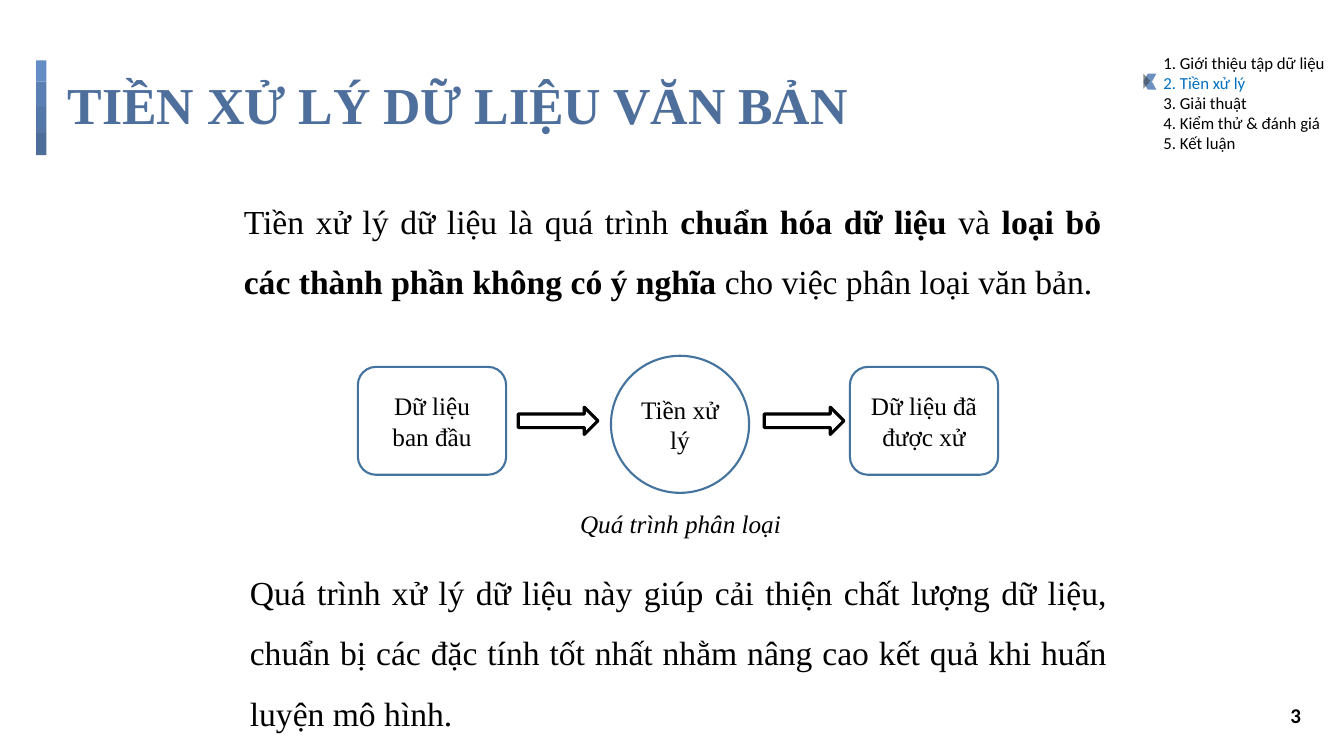
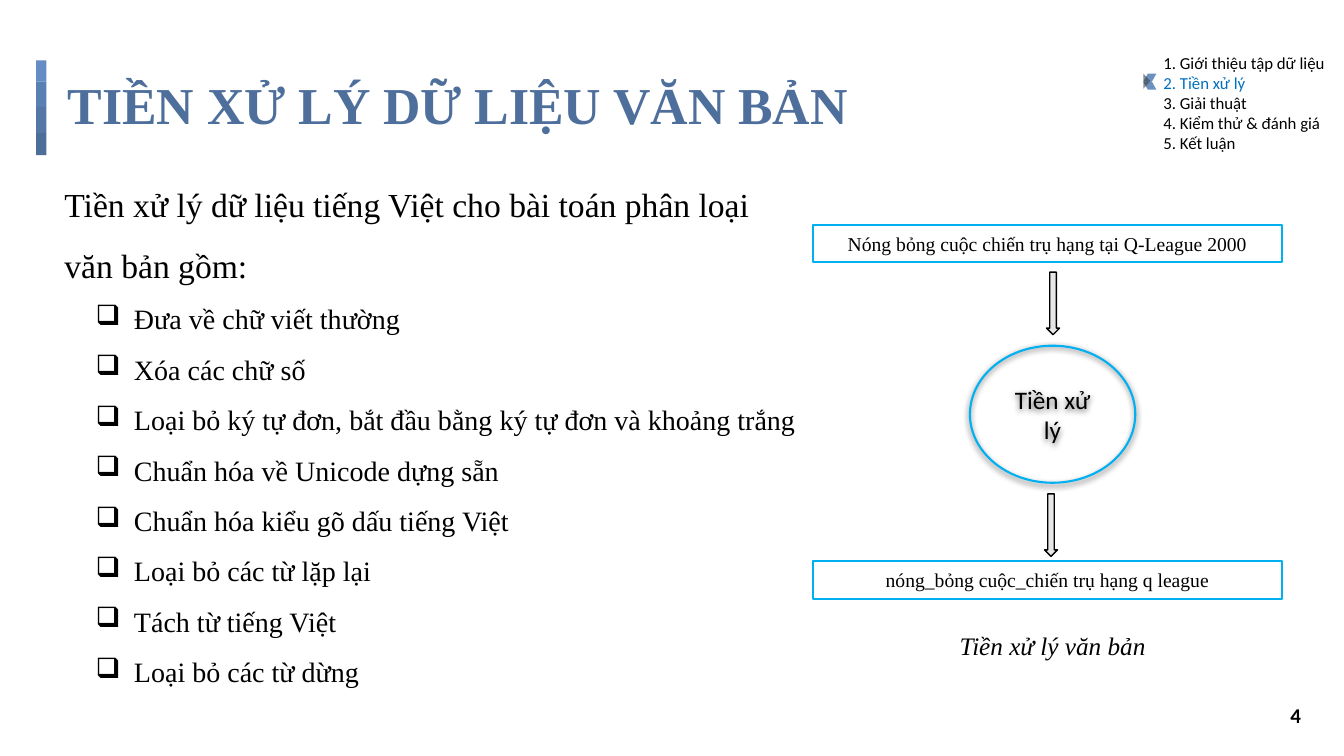
import pptx
import pptx.util
import pptx.dml.color
import pptx.enum.shapes
import pptx.enum.text
import pptx.oxml.ns
from lxml import etree

Inches = pptx.util.Inches
Pt = pptx.util.Pt
KIND = pptx.enum.shapes.MSO_SHAPE
ALIGN = pptx.enum.text.PP_ALIGN
ANCHOR = pptx.enum.text.MSO_ANCHOR
FIT = pptx.enum.text.MSO_AUTO_SIZE
qn = pptx.oxml.ns.qn


class Theme:
    """Colours, fonts and type sizes of the deck."""
    serif, sans = "Times New Roman", "Calibri"
    ink, white, title = "000000", "FFFFFF", "4E6F9B"
    bands = ["648DC6", "5A7FB3", "5477A7", "4E6E9A"]
    active, mark, tip = "0070C0", "5E85B9", "38444A"
    steel, sky, grey = "43739E", "00B0F0", "E7E6E6"
    head, body, item, label, page, note, nav = 37, 24, 20, 18, 15, 14, 12


# Content: asterisks switch bold on and off
TITLE = "TIỀN XỬ LÝ DỮ LIỆU VĂN BẢN"
TOPICS = ["1. Giới thiệu tập dữ liệu", "2. Tiền xử lý", "3. Giải thuật",
          "4. Kiểm thử & đánh giá", "5. Kết luận"]
CURRENT = 1
STEP = "Tiền xử lý"

INTRO = ("Tiền xử lý dữ liệu là quá trình *chuẩn hóa dữ liệu *và *loại bỏ các "
         "thành phần không có ý nghĩa *cho việc phân loại văn bản.")
RESULT = ("Quá trình xử lý dữ liệu này giúp cải thiện chất lượng dữ liệu, "
          "chuẩn bị các đặc tính tốt nhất nhằm nâng cao kết quả khi huấn "
          "luyện mô hình.")
FLOW_ENDS = [(3.55, "Dữ liệu ban đầu"), (8.43, "Dữ liệu đã được xử")]
FLOW_ARROWS = [5.14, 7.58]
FLOW_NOTE = "Quá trình phân loại"

LIST_HEAD = "Tiền xử lý dữ liệu tiếng Việt cho bài toán phân loại văn bản gồm:"
TASKS = ["Đưa về chữ viết thường",
         "Xóa các chữ số",
         "Loại bỏ ký tự đơn, bắt đầu bằng ký tự đơn và khoảng trắng",
         "Chuẩn hóa về Unicode dựng sẵn",
         "Chuẩn hóa kiểu gõ dấu tiếng Việt",
         "Loại bỏ các từ lặp lại",
         "Tách từ tiếng Việt",
         "Loại bỏ các từ dừng"]
SAMPLES = [(2.23, "Nóng bỏng cuộc chiến trụ hạng tại Q-League 2000"),
           (5.57, "nóng_bỏng cuộc_chiến trụ hạng q league")]
SAMPLE_ARROWS = [(10.38, 2.7), (10.36, 4.9)]
SAMPLE_NOTE = "Tiền xử lý văn bản"


def paint(text):
    """Turn a hex string into a colour."""
    return pptx.dml.color.RGBColor.from_string(text)


def indent(para, left, hang, mark):
    """Give a paragraph a hanging bullet."""
    props = para._p.get_or_add_pPr()
    props.set("marL", str(Inches(left)))
    props.set("indent", str(Inches(-hang)))
    etree.SubElement(props, qn("a:buChar")).set("char", mark)


def write(frame, paras, **base):
    """Fill a frame; a paragraph is a text or a (text, format) pair."""
    frame.word_wrap = True
    for num, entry in enumerate(paras):
        text, extra = (entry, {}) if isinstance(entry, str) else entry
        fmt = {**base, **extra}
        para = frame.add_paragraph() if num else frame.paragraphs[0]
        para.alignment = fmt.get("align", ALIGN.LEFT)
        if "space" in fmt:
            para.line_spacing = fmt["space"]
        if fmt.get("bullet"):
            para.level = 1
            indent(para, 0.69, 0.38, fmt["bullet"])
        for part, words in enumerate(text.split("*")):
            run = para.add_run()
            run.text = words
            font = run.font
            font.name = fmt.get("font", Theme.serif)
            font.size = Pt(fmt["size"])
            font.bold = fmt.get("bold", False) or part % 2 == 1
            font.italic = fmt.get("italic", False)
            font.color.rgb = paint(fmt.get("color", Theme.ink))


def label(slide, box, paras, grow=True, inset=None, **fmt):
    """Add a text box."""
    frame = slide.shapes.add_textbox(*map(Inches, box)).text_frame
    if inset:
        frame.margin_left = frame.margin_right = Inches(inset)
        frame.margin_top = frame.margin_bottom = Inches(inset)
    write(frame, paras, **fmt)
    if grow:
        frame.auto_size = FIT.SHAPE_TO_FIT_TEXT
    else:
        frame.vertical_anchor = ANCHOR.MIDDLE


def draw(slide, kind, box, fill=None, line=None, width=1.5, alpha=None,
         text=None, **fmt):
    """Add a preset shape, with centred text if given."""
    shape = slide.shapes.add_shape(kind, *map(Inches, box))
    shape.shadow.inherit = False
    if fill:
        shape.fill.solid()
        shape.fill.fore_color.rgb = paint(fill)
    else:
        shape.fill.background()
    if alpha:
        color = shape.fill._xPr.find(".//" + qn("a:srgbClr"))
        etree.SubElement(color, qn("a:alpha")).set("val", str(alpha * 1000))
    if line:
        shape.line.color.rgb = paint(line)
        shape.line.width = Pt(width)
    else:
        shape.line.fill.background()
    if text:
        shape.text_frame.vertical_anchor = ANCHOR.MIDDLE
        write(shape.text_frame, [text], align=ALIGN.CENTER, **fmt)
    return shape


def shade(shape, blur, dist, angle, alpha):
    """Give a shape a soft black shadow."""
    effects = shape._element.spPr.find(qn("a:effectLst"))
    outer = etree.SubElement(effects, qn("a:outerShdw"))
    for name, value in (("blurRad", Pt(blur)), ("dist", Pt(dist)),
                        ("dir", angle * 60000)):
        outer.set(name, str(int(value)))
    color = etree.SubElement(outer, qn("a:srgbClr"))
    color.set("val", Theme.ink)
    etree.SubElement(color, qn("a:alpha")).set("val", str(alpha * 1000))


def start(deck, number):
    """Add a slide with band, title, topic list and page number."""
    slide = deck.slides.add_slide(deck.slide_layouts[6])
    top = 0.6
    for color, height in zip(Theme.bands, (0.21, 0.25, 0.26, 0.22)):
        draw(slide, KIND.RECTANGLE, (0.36, top, 0.1, height), color)
        top += height
    label(slide, (0.54, 0.65, 10.03, 0.84), [TITLE], grow=False, inset=0.13,
          size=Theme.head, color=Theme.title, bold=True, space=0.9)
    topics = [(text, {"color": Theme.active if num == CURRENT else Theme.ink})
              for num, text in enumerate(TOPICS)]
    label(slide, (11.44, 0.47, 1.89, 1.11), topics,
          size=Theme.nav, font=Theme.sans)
    for half in range(2):
        wing = draw(slide, KIND.PARALLELOGRAM,
                    (11.34, 0.73 + 0.08 * half, 0.13, 0.08),
                    Theme.mark, alpha=91)
        wing.adjustments[0] = 0.56
        if half:
            wing._element.spPr.find(qn("a:xfrm")).set("flipH", "1")
    tip = draw(slide, KIND.ISOSCELES_TRIANGLE, (11.3, 0.77, 0.15, 0.07),
               Theme.tip, alpha=60)
    tip.rotation = 90
    label(slide, (12.7, 6.92, 0.32, 0.35), [str(number)],
          size=Theme.page, font=Theme.sans, bold=True)
    return slide


def note(slide, left, top, text):
    """Add an italic caption under a diagram."""
    label(slide, (left, top, 4.2, 0.35), [text], grow=False,
          size=Theme.label, italic=True, align=ALIGN.CENTER)


def flow(deck):
    """Build the slide on the purpose of the step."""
    slide = start(deck, 3)
    for box, text in (((2.32, 1.74, 8.7, 1.24), INTRO),
                      ((2.38, 5.42, 8.7, 1.85), RESULT)):
        label(slide, box, [text], size=Theme.body, space=1.5,
              align=ALIGN.JUSTIFY)
    for left, text in FLOW_ENDS:
        draw(slide, KIND.ROUNDED_RECTANGLE, (left, 3.64, 1.47, 1.07),
             line=Theme.steel, text=text, size=Theme.label)
    for left in FLOW_ARROWS:
        draw(slide, KIND.RIGHT_ARROW, (left, 4.04, 0.79, 0.27),
             Theme.white, Theme.ink, 2.25)
    draw(slide, KIND.OVAL, (6.06, 3.53, 1.37, 1.36), line=Theme.steel,
         text=STEP, size=Theme.label)
    note(slide, 4.65, 5.02, FLOW_NOTE)


def tasks(deck):
    """Build the slide with the task list and a sample."""
    slide = start(deck, 4)
    items = [(text, {"size": Theme.item, "bullet": "❑"}) for text in TASKS]
    label(slide, (0.54, 1.58, 7.52, 5.65), [LIST_HEAD] + items,
          size=Theme.body, space=1.5)
    for top, text in SAMPLES:
        draw(slide, KIND.RECTANGLE, (8.06, top, 4.66, 0.37),
             line=Theme.sky, text=text, size=Theme.note)
    step = draw(slide, KIND.OVAL, (9.62, 3.43, 1.64, 1.36), line=Theme.sky,
                text=STEP, size=Theme.label, font=Theme.sans)
    shade(step, blur=4.5, dist=1.5, angle=90, alpha=63)
    for left, top in SAMPLE_ARROWS:
        draw(slide, KIND.DOWN_ARROW, (left, top, 0.13, 0.62),
             Theme.grey, Theme.ink, 1)
    note(slide, 8.34, 6.23, SAMPLE_NOTE)


deck = pptx.Presentation()
deck.slide_width, deck.slide_height = Inches(13.33), Inches(7.5)
flow(deck)
tasks(deck)
deck.save("out.pptx")
